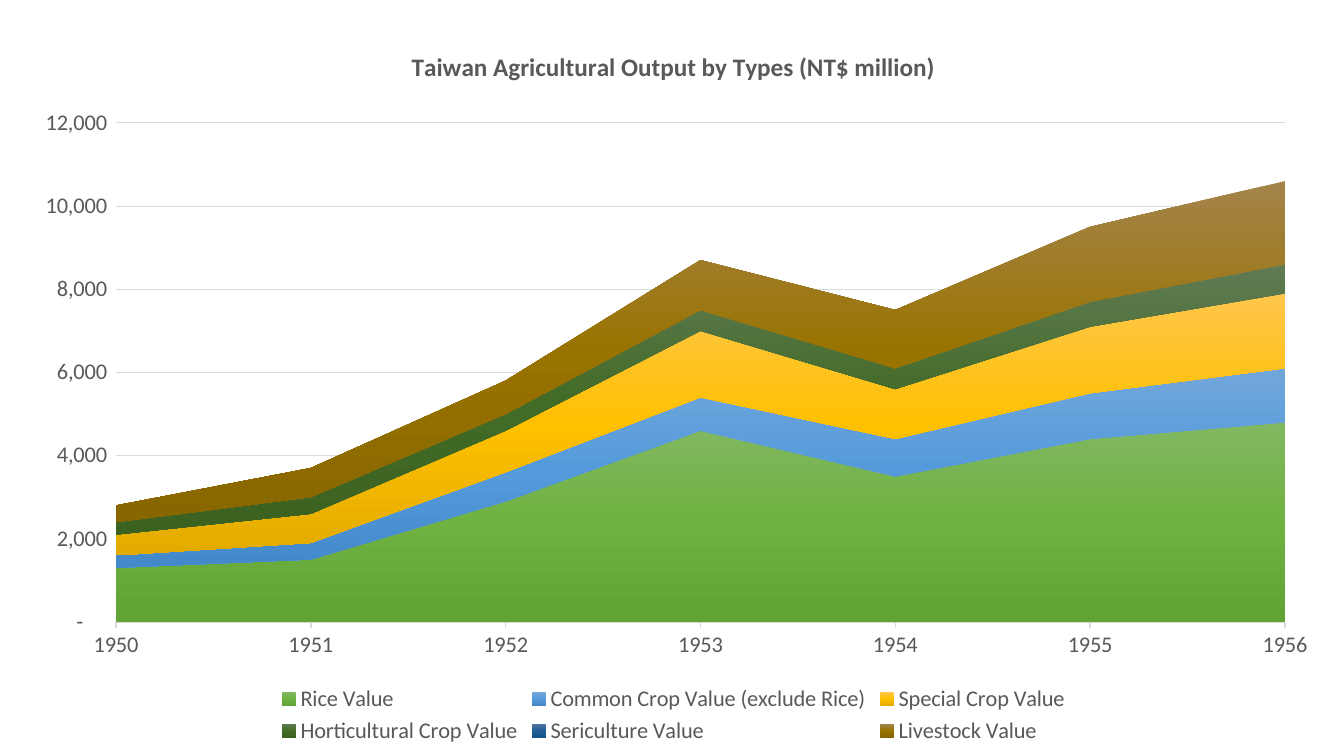
from copy import deepcopy
from dataclasses import dataclass

from lxml import etree
from pptx import Presentation
from pptx import util as u
from pptx.chart.data import CategoryChartData
from pptx.dml.color import RGBColor
from pptx.enum import chart as charts
from pptx.oxml.ns import qn

SCALE = 914400 / 100.8


@dataclass(frozen=True)
class Theme:
    font: str = "Calibri"
    ink: str = "595959"
    rule: str = "D9D9D9"
    label_size: int = 16
    title_size: int = 18
    rice: tuple = ("81B861", "6FB242", "62A336")
    common: tuple = ("71A6DB", "559BDB", "448ACA")
    special: tuple = ("FFC64B", "FFC000", "E3AB00")
    horticultural: tuple = ("607B53", "436B28", "3B6220")
    sericulture: tuple = ("51739F", "205E97", "17548B")
    livestock: tuple = ("A4844B", "997300", "886600")


THEME = Theme()
TITLE = "Taiwan Agricultural Output by Types (NT$ million)"
YEARS = [str(year) for year in range(1950, 1957)]
OUTPUTS = [
    ("Rice Value", THEME.rice, (1300, 1500, 2900, 4600, 3500, 4400, 4800)),
    ("Common Crop Value (exclude Rice)", THEME.common, (300, 400, 700, 800, 900, 1100, 1300)),
    ("Special Crop Value", THEME.special, (500, 700, 1000, 1600, 1200, 1600, 1800)),
    ("Horticultural Crop Value", THEME.horticultural, (300, 400, 400, 500, 500, 600, 700)),
    ("Sericulture Value", THEME.sericulture, (0, 0, 0, 0, 0, 0, 0)),
    ("Livestock Value", THEME.livestock, (400, 700, 800, 1200, 1400, 1800, 2000)),
]
NUMBER_FORMAT = r'_(* #,##0_);_(* \(#,##0\);_(* "-"??_);_(@_)'
CHART_BOX = (14, 25, 1319, 724)
PLOT_BOX = (116, 123, 1169, 499)


def px(length):
    return u.Emu(round(length * SCALE))


def style_font(font, size=THEME.label_size, color=THEME.ink, bold=False):
    font.name = THEME.font
    font.size = u.Pt(size)
    font.bold = bold
    font.color.rgb = RGBColor.from_string(color)


def write_text(frame, text, **font_format):
    paragraph = frame.paragraphs[0]
    run = paragraph.add_run()
    run.text = text
    style_font(run.font, **font_format)


def style_line(line, width):
    line.color.rgb = RGBColor.from_string(THEME.rule)
    line.width = u.Pt(width)


def fill_gradient(series, colors):
    fill = series.format.fill
    fill.gradient()
    fill.gradient_angle = 270
    stop_list = series.format.element.find(".//" + qn("a:gsLst")) if hasattr(
        series.format, "element") else series._element.find(".//" + qn("a:gsLst"))
    stop_list.insert(1, deepcopy(stop_list[0]))
    for stop, position, color in zip(fill.gradient_stops, (0, 0.5, 1), colors):
        stop.position = position
        stop.color.rgb = RGBColor.from_string(color)
    series.format.line.fill.background()


def place_plot(chart):
    plot_area = chart._chartSpace.find(".//" + qn("c:plotArea"))
    layout = plot_area.find(qn("c:layout"))
    if layout is None:
        layout = etree.Element(qn("c:layout"))
        plot_area.insert(0, layout)
    manual = etree.SubElement(layout, qn("c:manualLayout"))
    left, top, width, height = CHART_BOX
    plot_left, plot_top, plot_width, plot_height = PLOT_BOX
    settings = {
        "layoutTarget": "inner",
        "xMode": "edge",
        "yMode": "edge",
        "x": (plot_left - left) / width,
        "y": (plot_top - top) / height,
        "w": plot_width / width,
        "h": plot_height / height,
    }
    for name, value in settings.items():
        etree.SubElement(manual, qn("c:" + name)).set("val", str(value))
    plot_area.find(".//" + qn("c:crossBetween")).set("val", "midCat")


def style_axes(chart):
    years = chart.category_axis
    years.has_major_gridlines = False
    years.major_tick_mark = charts.XL_TICK_MARK.OUTSIDE
    style_line(years.format.line, 1)
    style_font(years.tick_labels.font)

    values = chart.value_axis
    values.minimum_scale, values.maximum_scale, values.major_unit = 0, 12000, 2000
    values.major_tick_mark = charts.XL_TICK_MARK.NONE
    values.format.line.fill.background()
    values.has_major_gridlines = True
    style_line(values.major_gridlines.format.line, 0.75)
    values.tick_labels.number_format = NUMBER_FORMAT
    values.tick_labels.number_format_is_linked = False
    style_font(values.tick_labels.font)


def add_output_chart(slide):
    data = CategoryChartData(number_format=NUMBER_FORMAT)
    data.categories = YEARS
    for name, colors, values in OUTPUTS:
        data.add_series(name, values)
    chart = slide.shapes.add_chart(
        charts.XL_CHART_TYPE.AREA_STACKED, *map(px, CHART_BOX), data).chart
    style_font(chart.font)
    chart.has_title = True
    write_text(chart.chart_title.text_frame, TITLE, size=THEME.title_size, bold=True)
    chart.chart_title.include_in_layout = False
    chart.has_legend = True
    chart.legend.position = charts.XL_LEGEND_POSITION.BOTTOM
    chart.legend.include_in_layout = False
    style_font(chart.legend.font)
    plot = chart.plots[0]
    plot.vary_by_categories = False
    for series, (name, colors, values) in zip(plot.series, OUTPUTS):
        fill_gradient(series, colors)
    style_axes(chart)
    place_plot(chart)


def main():
    presentation = Presentation()
    presentation.slide_width = px(1344)
    presentation.slide_height = px(756)
    slide = presentation.slides.add_slide(presentation.slide_layouts[6])
    add_output_chart(slide)
    presentation.save("out.pptx")


if __name__ == "__main__":
    main()
